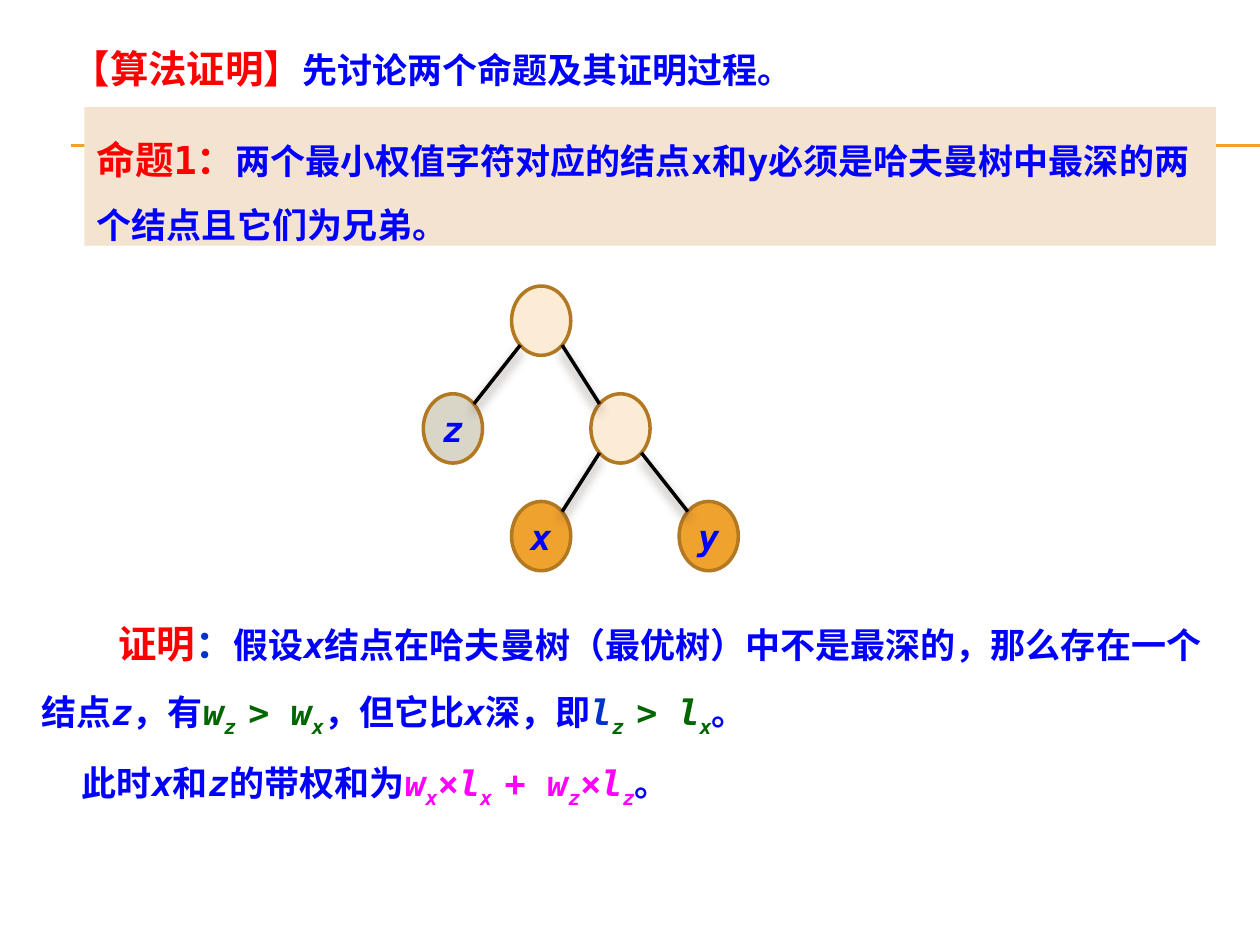
from math import sqrt

from lxml.etree import SubElement
from pptx import Presentation
from pptx.dml.color import RGBColor
from pptx.enum.shapes import MSO_CONNECTOR, MSO_SHAPE
from pptx.enum.text import MSO_ANCHOR, PP_ALIGN
from pptx.oxml.ns import qn
from pptx.util import Inches, Pt

FONT = "DejaVu Sans Mono"
RED = RGBColor(0xFF, 0x00, 0x00)
BLUE = RGBColor(0x00, 0x00, 0xFF)
DEEP_BLUE = RGBColor(0x00, 0x33, 0xCC)
GREEN = RGBColor(0x00, 0x66, 0x00)
MAGENTA = RGBColor(0xFF, 0x00, 0xFF)
BLACK = RGBColor(0x00, 0x00, 0x00)
ORANGE = RGBColor(0xF0, 0xA2, 0x2E)
BROWN = RGBColor(0xB2, 0x78, 0x22)
CREAM = RGBColor(0xFC, 0xEC, 0xD5)
GREY = RGBColor(0xD9, 0xD5, 0xC7)
SAND = RGBColor(0xF5, 0xE3, 0xD1)

HEADING_SIZE, BODY_SIZE = 22, 20
ITALIC, SUBSCRIPT = "italic", "subscript"


def add_run(paragraph, text, color=BLUE, style=None, size=BODY_SIZE):
    run = paragraph.add_run()
    run.text = text
    font = run.font
    font.name, font.size, font.bold = FONT, Pt(size), True
    font.italic = style in (ITALIC, SUBSCRIPT)
    font.color.rgb = color
    if style == SUBSCRIPT:
        run._r.get_or_add_rPr().set("baseline", "-25000")


def add_variable(paragraph, letter, index, color, letter_color=None):
    """Write an italic letter with a subscript index."""
    add_run(paragraph, letter, letter_color or color, ITALIC)
    add_run(paragraph, index, color, SUBSCRIPT)


def add_prose(paragraph, *pieces):
    """Write blue text in which single letters are italic variables."""
    for piece in pieces:
        add_run(paragraph, piece, style=ITALIC if piece in ("x", "z") else None)


def indent(paragraph, inches):
    paragraph._p.get_or_add_pPr().set("indent", str(Inches(inches)))


def add_text_box(slide, left, top, width, height):
    box = slide.shapes.add_textbox(
        Inches(left), Inches(top), Inches(width), Inches(height))
    box.text_frame.word_wrap = True
    return box.text_frame


def add_line(shapes, start, end, color, width):
    line = shapes.add_connector(
        MSO_CONNECTOR.STRAIGHT, *(Inches(value) for value in start + end))
    line.line.color.rgb = color
    line.line.width = Pt(width)
    effects = SubElement(line._element.spPr, qn("a:effectLst"))
    return line, effects


def add_double_rule(slide, left, top, width):
    for y in (top, top + 0.01):
        add_line(slide.shapes, (left, y), (left + width, y), ORANGE, 0.75)


def add_heading(slide, left, top, width, height):
    paragraph = add_text_box(slide, left, top, width, height).paragraphs[0]
    add_run(paragraph, "【算法证明】", RED, size=HEADING_SIZE)
    add_run(paragraph, "先讨论两个命题及其证明过程。")


def add_proposition(slide, left, top, width, height):
    panel = slide.shapes.add_shape(
        MSO_SHAPE.RECTANGLE,
        Inches(left), Inches(top), Inches(width), Inches(height))
    panel.shadow.inherit = False
    panel.fill.solid()
    panel.fill.fore_color.rgb = SAND
    panel.line.fill.background()
    frame = panel.text_frame
    frame.word_wrap = True
    frame.vertical_anchor = MSO_ANCHOR.TOP
    paragraph = frame.paragraphs[0]
    paragraph.alignment = PP_ALIGN.LEFT
    paragraph.line_spacing = 1.5
    add_run(paragraph, "命题1：", RED, size=HEADING_SIZE)
    add_run(paragraph,
            "两个最小权值字符对应的结点x和y必须是哈夫曼树中最深的两个结点且它们为兄弟。")


def add_proof(slide, left, top, width, height):
    frame = add_text_box(slide, left, top, width, height)
    assumption, total = frame.paragraphs[0], frame.add_paragraph()
    for paragraph, first_indent in ((assumption, 0.61), (total, 0.32)):
        paragraph.line_spacing = 1.5
        indent(paragraph, first_indent)

    add_run(assumption, "证明", RED, size=HEADING_SIZE)
    add_run(assumption, "：", DEEP_BLUE, size=HEADING_SIZE)
    add_prose(assumption, "假设", "x",
              "结点在哈夫曼树（最优树）中不是最深的，那么存在一个结点", "z", "，有")
    add_variable(assumption, "w", "z ", GREEN)
    add_run(assumption, "> ", GREEN)
    add_variable(assumption, "w", "x", GREEN)
    add_prose(assumption, "，但它比", "x", "深，即")
    add_variable(assumption, "l", "z ", GREEN, DEEP_BLUE)
    add_run(assumption, "> ", GREEN)
    add_variable(assumption, "l", "x", GREEN)
    add_prose(assumption, "。")

    add_prose(total, "此时", "x", "和", "z", "的带权和为")
    add_variable(total, "w", "x", MAGENTA)
    add_run(total, "×", MAGENTA)
    add_variable(total, "l", "x ", MAGENTA)
    add_run(total, "+ ", MAGENTA)
    add_variable(total, "w", "z", MAGENTA)
    add_run(total, "×", MAGENTA)
    add_variable(total, "l", "z", MAGENTA)
    add_prose(total, "。")


def add_node(shapes, left, top, width, height, fill, label):
    node = shapes.add_shape(
        MSO_SHAPE.OVAL, Inches(left), Inches(top), Inches(width), Inches(height))
    node.shadow.inherit = False
    node.fill.solid()
    node.fill.fore_color.rgb = fill
    node.line.color.rgb = BROWN
    node.line.width = Pt(2)
    if label:
        frame = node.text_frame
        frame.word_wrap = False
        frame.vertical_anchor = MSO_ANCHOR.MIDDLE
        frame.paragraphs[0].alignment = PP_ALIGN.CENTER
        add_run(frame.paragraphs[0], label, style=ITALIC)


def add_branch(shapes, start, end):
    """Draw a tree edge with a soft shadow below it."""
    _, effects = add_line(shapes, start, end, BLACK, 2)
    shadow = SubElement(effects, qn("a:outerShdw"), blurRad=str(Pt(6)),
                        dist=str(Pt(4)), dir="5400000", rotWithShape="0")
    color = SubElement(shadow, qn("a:srgbClr"), val="4E3B30")
    SubElement(color, qn("a:alpha"), val="60000")


def add_tree(slide, left, top, width, height):
    shapes = slide.shapes.add_group_shape().shapes
    node_width, node_height = 0.47, 0.55
    columns = [left + (width - node_width) * share for share in (0, 0.345, 0.655, 1)]
    row_step = (height - node_height) / 2
    nodes = {  # column, row, fill, label
        "root": (1, 0, CREAM, ""),
        "z": (0, 1, GREY, "z"),
        "parent": (2, 1, CREAM, ""),
        "x": (1, 2, ORANGE, "x"),
        "y": (3, 2, ORANGE, "y"),
    }
    centres = {}
    for name, (column, row, fill, label) in nodes.items():
        x, y = columns[column], top + row * row_step
        add_node(shapes, x, y, node_width, node_height, fill, label)
        centres[name] = (x + node_width / 2, y + node_height / 2)

    # Edges run between the diagonal points of the ovals.
    reach_x, reach_y = node_width / 2 / sqrt(2), node_height / 2 / sqrt(2)
    for upper, lower in (("root", "z"), ("root", "parent"),
                         ("parent", "x"), ("parent", "y")):
        (x1, y1), (x2, y2) = centres[upper], centres[lower]
        side = reach_x if x2 > x1 else -reach_x
        add_branch(shapes, (x1 + side, y1 + reach_y), (x2 - side, y2 - reach_y))


def main():
    presentation = Presentation()
    presentation.slide_width, presentation.slide_height = Inches(10), Inches(7.5)
    slide = presentation.slides.add_slide(presentation.slide_layouts[6])
    add_double_rule(slide, 0.56, 1.15, 9.44)
    add_heading(slide, 0.47, 0.31, 8.35, 0.47)
    add_proposition(slide, 0.67, 0.85, 8.98, 1.1)
    add_proof(slide, 0.23, 4.69, 9.45, 1.67)
    add_tree(slide, 3.36, 2.27, 2.5, 2.26)
    presentation.save("out.pptx")


if __name__ == "__main__":
    main()
